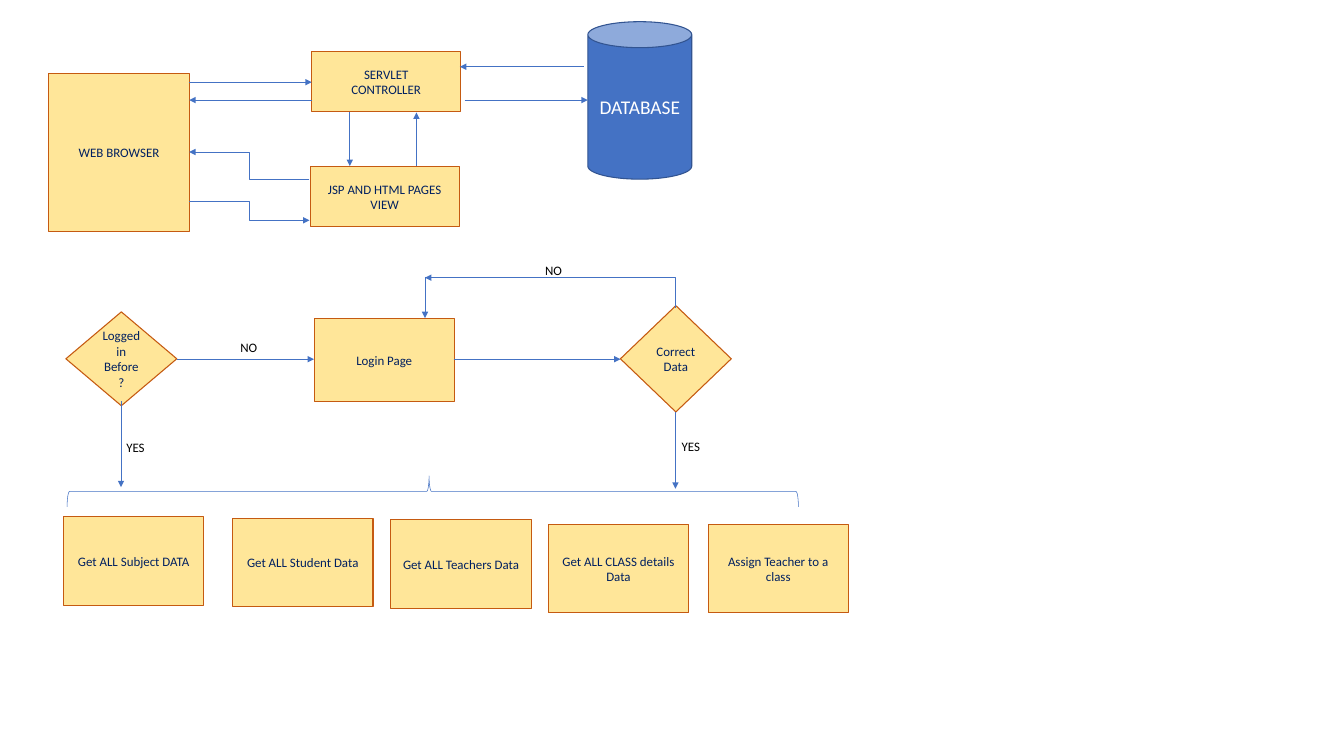
from dataclasses import dataclass
from typing import NamedTuple

from lxml import etree
from pptx import Presentation
from pptx.dml.color import RGBColor
from pptx.enum.shapes import MSO_CONNECTOR, MSO_SHAPE
from pptx.enum.text import MSO_ANCHOR, MSO_AUTO_SIZE, PP_ALIGN
from pptx.oxml.ns import qn
from pptx.shapes.autoshape import Shape
from pptx.shapes.connector import Connector
from pptx.shapes.shapetree import SlideShapes
from pptx.text.text import TextFrame
from pptx.util import Inches, Pt

STRAIGHT, ELBOW = MSO_CONNECTOR.STRAIGHT, MSO_CONNECTOR.ELBOW
RECTANGLE, PROCESS = MSO_SHAPE.RECTANGLE, MSO_SHAPE.FLOWCHART_PROCESS
DECISION, CAN, BRACE = MSO_SHAPE.FLOWCHART_DECISION, MSO_SHAPE.CAN, MSO_SHAPE.LEFT_BRACE
CENTER, LEFT = PP_ALIGN.CENTER, PP_ALIGN.LEFT


@dataclass(frozen=True)
class Theme:
    """Colours, font and sizes of the diagram."""
    font: str = "Calibri"
    box_fill: RGBColor = RGBColor(0xFF, 0xE6, 0x99)
    box_line: RGBColor = RGBColor(0xC5, 0x5A, 0x11)
    box_text: RGBColor = RGBColor(0x00, 0x20, 0x60)
    blue: RGBColor = RGBColor(0x44, 0x72, 0xC4)
    dark_blue: RGBColor = RGBColor(0x32, 0x54, 0x91)
    white: RGBColor = RGBColor(0xFF, 0xFF, 0xFF)
    black: RGBColor = RGBColor(0x00, 0x00, 0x00)
    body: Pt = Pt(12)
    large: Pt = Pt(18)
    outline: Pt = Pt(1)
    thin: Pt = Pt(0.5)


THEME = Theme()


class Node(NamedTuple):
    """A labelled step; lengths in inches."""
    text: str
    left: float
    top: float
    width: float
    height: float
    kind: MSO_SHAPE = PROCESS
    fill: RGBColor = THEME.box_fill
    line: RGBColor = THEME.box_line
    color: RGBColor = THEME.box_text
    size: Pt = THEME.body


class Label(NamedTuple):
    """An answer written beside an arrow."""
    text: str
    left: float
    top: float
    width: float


class Arrow(NamedTuple):
    """An arrow from (x1, y1) to (x2, y2)."""
    x1: float
    y1: float
    x2: float
    y2: float
    kind: MSO_CONNECTOR = STRAIGHT


TASK_WIDTH, TASK_HEIGHT = 1.81, 1.14
TASKS = [
    ("Get ALL Subject DATA", 0.82, 6.66),
    ("Get ALL Student Data", 3.0, 6.68),
    ("Get ALL Teachers Data", 5.04, 6.7),
    ("Get ALL CLASS details Data", 7.07, 6.76),
    ("Assign Teacher to a class", 9.13, 6.76),
]
NODES = [
    Node("WEB BROWSER", 0.63, 0.95, 1.81, 2.03),
    Node("SERVLET\nCONTROLLER", 4.02, 0.67, 1.92, 0.77, RECTANGLE),
    Node("JSP AND HTML PAGES VIEW", 4.0, 2.15, 1.92, 0.77, RECTANGLE),
    Node("DATABASE", 7.58, 0.28, 1.34, 2.03, CAN,
         THEME.blue, THEME.dark_blue, THEME.white, THEME.large),
    Node("Logged in Before?", 0.85, 4.02, 1.43, 1.21, DECISION),
    Node("Login Page", 4.05, 4.1, 1.81, 1.08),
    Node("Correct Data", 8.0, 3.94, 1.43, 1.37, DECISION),
    *(Node(text, left, top, TASK_WIDTH, TASK_HEIGHT) for text, left, top in TASKS),
]
LABELS = [
    Label("NO", 6.93, 3.33, 0.42),
    Label("NO", 3.0, 4.33, 0.42),
    Label("YES", 8.69, 5.6, 0.44),
    Label("YES", 1.53, 5.62, 0.44),
]
ARROWS = [
    Arrow(2.44, 1.06, 4.02, 1.06),
    Arrow(4.02, 1.29, 2.44, 1.29),
    Arrow(3.99, 2.31, 2.44, 1.96, ELBOW),
    Arrow(2.44, 2.6, 3.99, 2.84, ELBOW),
    Arrow(4.51, 1.45, 4.51, 2.14),
    Arrow(5.37, 2.14, 5.37, 1.45),
    Arrow(7.53, 0.86, 5.93, 0.86),
    Arrow(5.99, 1.29, 7.58, 1.29),
    Arrow(2.28, 4.63, 4.05, 4.63),
    Arrow(5.85, 4.63, 8.0, 4.63),
    Arrow(5.48, 3.57, 5.48, 4.1),
    Arrow(1.56, 5.17, 1.56, 6.28),
    Arrow(8.71, 5.31, 8.71, 6.3),
]
RETRY = Arrow(8.71, 3.97, 5.48, 3.58, ELBOW)


def write(frame: TextFrame, text: str, size: Pt, color: RGBColor, align: PP_ALIGN) -> None:
    """Fill a text frame, one paragraph per line."""
    frame.text = text
    for paragraph in frame.paragraphs:
        paragraph.alignment = align
        paragraph.font.name = THEME.font
        paragraph.font.size = size
        paragraph.font.color.rgb = color


def outline(shape: Shape | Connector, color: RGBColor, width: Pt) -> None:
    """Set the line colour and width."""
    shape.line.color.rgb = color
    shape.line.width = width


def draw_node(shapes: SlideShapes, node: Node) -> None:
    """Draw a step with its centred text."""
    step = shapes.add_shape(node.kind, Inches(node.left), Inches(node.top),
                            Inches(node.width), Inches(node.height))
    step.shadow.inherit = False
    step.fill.solid()
    step.fill.fore_color.rgb = node.fill
    outline(step, node.line, THEME.outline)
    step.text_frame.word_wrap = True
    step.text_frame.vertical_anchor = MSO_ANCHOR.MIDDLE
    write(step.text_frame, node.text, node.size, node.color, CENTER)


def draw_label(shapes: SlideShapes, label: Label) -> None:
    """Draw an unwrapped answer."""
    answer = shapes.add_textbox(Inches(label.left), Inches(label.top),
                                Inches(label.width), Inches(0.3))
    answer.text_frame.word_wrap = False
    answer.text_frame.auto_size = MSO_AUTO_SIZE.SHAPE_TO_FIT_TEXT
    write(answer.text_frame, label.text, THEME.body, THEME.black, LEFT)


def draw_arrow(shapes: SlideShapes, arrow: Arrow) -> Connector:
    """Draw a thin connector with a triangle at its end."""
    connector = shapes.add_connector(arrow.kind, Inches(arrow.x1), Inches(arrow.y1),
                                     Inches(arrow.x2), Inches(arrow.y2))
    outline(connector, THEME.blue, THEME.thin)
    etree.SubElement(connector.line._get_or_add_ln(), qn("a:tailEnd"), type="triangle")
    etree.SubElement(connector._element.spPr, qn("a:effectLst"))
    return connector


def draw_corner_arrow(shapes: SlideShapes, arrow: Arrow) -> None:
    """Draw a one-bend arrow that goes up, then left, as a quarter-turned connector."""
    center_x, center_y = (arrow.x1 + arrow.x2) / 2, (arrow.y1 + arrow.y2) / 2
    half_run, half_rise = (arrow.x1 - arrow.x2) / 2, (arrow.y1 - arrow.y2) / 2
    connector = draw_arrow(shapes, Arrow(center_x - half_rise, center_y + half_run,
                                         center_x + half_rise, center_y - half_run, ELBOW))
    properties = connector._element.spPr
    properties.find(qn("a:xfrm")).set("rot", str(270 * 60000))
    properties.find(qn("a:prstGeom")).set("prst", "bentConnector2")


def draw_brace(shapes: SlideShapes) -> None:
    """Draw the brace that spans the tasks."""
    brace = shapes.add_shape(BRACE, Inches(5.38), Inches(1.62), Inches(0.4), Inches(9.43))
    brace.rotation = 90
    brace.adjustments[0], brace.adjustments[1] = 0.08, 0.505
    brace.shadow.inherit = False
    brace.fill.background()
    outline(brace, THEME.blue, THEME.thin)


def main() -> None:
    """Build the slide and save it."""
    deck = Presentation()
    deck.slide_width, deck.slide_height = Inches(17.33), Inches(9.5)
    shapes = deck.slides.add_slide(deck.slide_layouts[6]).shapes
    for node in NODES:
        draw_node(shapes, node)
    for arrow in ARROWS:
        draw_arrow(shapes, arrow)
    draw_corner_arrow(shapes, RETRY)
    draw_brace(shapes)
    for label in LABELS:
        draw_label(shapes, label)
    deck.save("out.pptx")


main()
